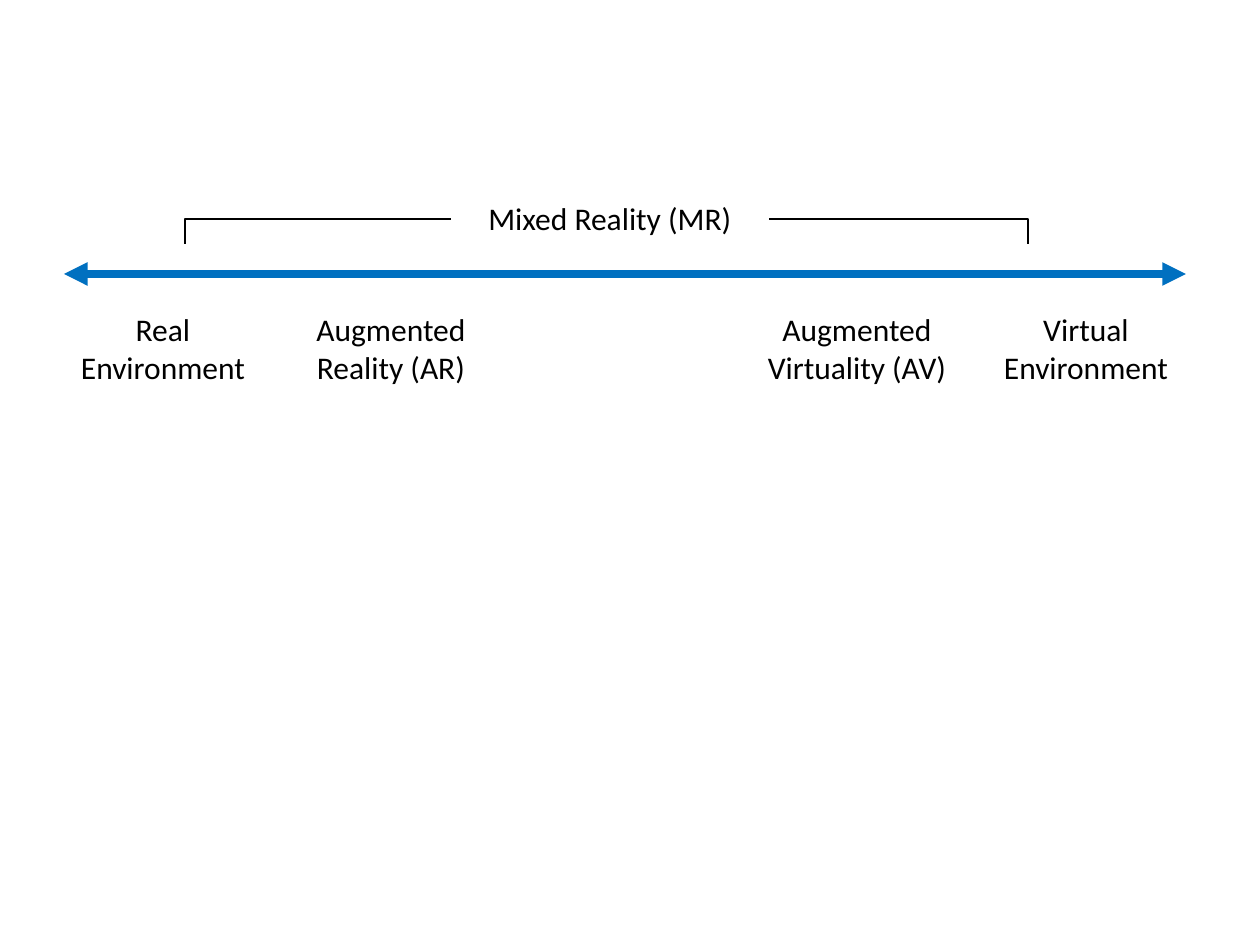
from pptx import Presentation
from pptx.dml.color import RGBColor
from pptx.enum.shapes import MSO_CONNECTOR
from pptx.enum.text import MSO_AUTO_SIZE, PP_ALIGN
from pptx.oxml.ns import qn
from pptx.util import Pt
from lxml import etree

PX = 914400 // 126
BLUE = RGBColor(0x00, 0x70, 0xC0)
BLACK = RGBColor(0x00, 0x00, 0x00)

prs = Presentation()
prs.slide_width, prs.slide_height = 1260 * PX, 945 * PX
slide = prs.slides.add_slide(prs.slide_layouts[6])


def add_line(kind, start, end, color, width):
    line = slide.shapes.add_connector(kind, *[v * PX for v in start + end])
    line.line.color.rgb = color
    line.line.width = Pt(width)
    etree.SubElement(line._element.spPr, qn("a:effectLst"))
    return line


def add_label(left, top, width, height, lines):
    label = slide.shapes.add_textbox(*[v * PX for v in (left, top, width, height)])
    frame = label.text_frame
    frame.word_wrap = True
    frame.auto_size = MSO_AUTO_SIZE.SHAPE_TO_FIT_TEXT
    for i, text in enumerate(lines):
        paragraph = frame.add_paragraph() if i else frame.paragraphs[0]
        paragraph.alignment = PP_ALIGN.CENTER
        run = paragraph.add_run()
        run.text = text
        run.font.name = "Calibri"
        run.font.size = Pt(18)
        run.font.color.rgb = BLACK


# Continuum axis with an arrowhead at each end
axis = add_line(MSO_CONNECTOR.STRAIGHT, (64, 274), (1186, 274), BLUE, 4.5)
for end in ("a:headEnd", "a:tailEnd"):
    etree.SubElement(axis.line._get_or_add_ln(), qn(end), type="triangle")

# Mixed reality span: title and the brackets on both sides
add_label(451, 193, 318, 50, ["Mixed Reality (MR)"])
for outer, inner in ((185, 451), (1028, 769)):
    bracket = add_line(MSO_CONNECTOR.ELBOW, (outer, 244), (inner, 219), BLACK, 1)
    bends = bracket._element.spPr.find(qn("a:prstGeom")).find(qn("a:avLst"))
    etree.SubElement(bends, qn("a:gd"), name="adj1", fmla="val 0")

# Stages along the axis
stages = [
    (64, 198, ["Real", "Environment"]),
    (292, 198, ["Augmented Reality (AR)"]),
    (748, 218, ["Augmented Virtuality (AV)"]),
    (987, 198, ["Virtual", "Environment"]),
]
for left, width, lines in stages:
    add_label(left, 304, width, 89, lines)

prs.save("out.pptx")
